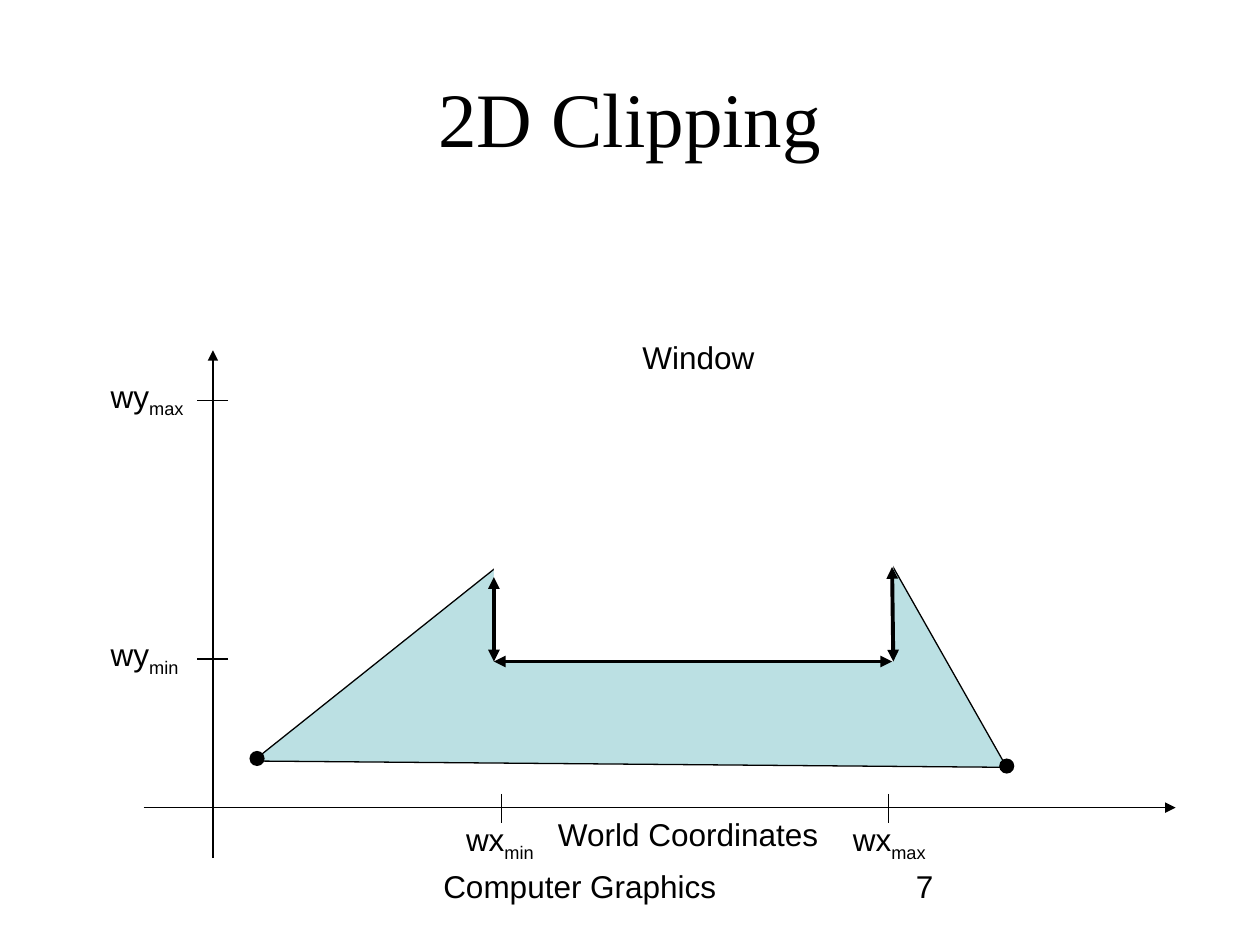
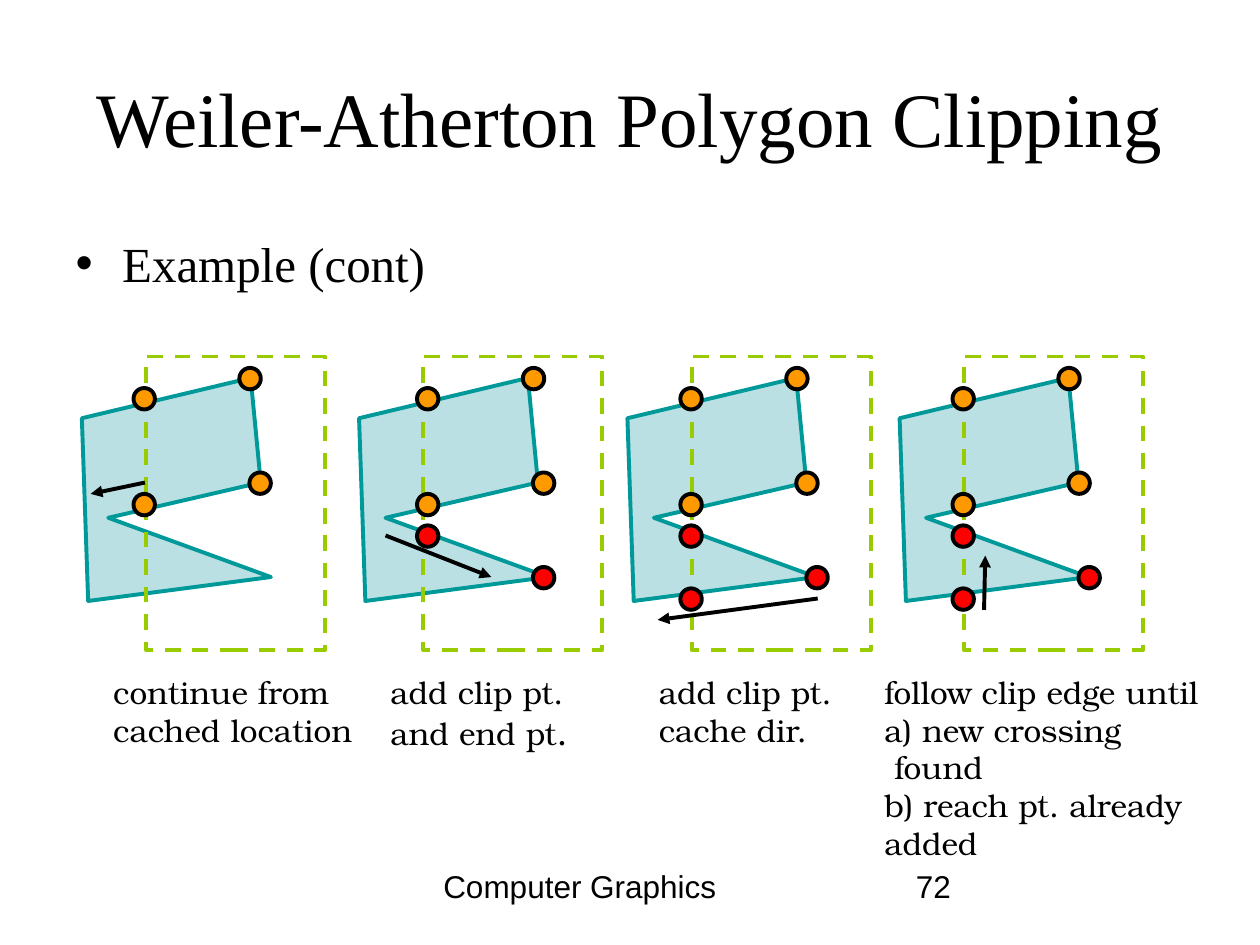
from lxml import etree
from pptx import Presentation
from pptx.dml.color import RGBColor
from pptx.enum.dml import MSO_LINE
from pptx.enum.shapes import MSO_CONNECTOR, MSO_SHAPE
from pptx.enum.text import MSO_ANCHOR, MSO_AUTO_SIZE, PP_ALIGN
from pptx.oxml.ns import qn
from pptx.util import Pt

SCALE = 9144  # EMU per px, 100 px to the inch

BLACK = RGBColor(0x00, 0x00, 0x00)
WHITE = RGBColor(0xFF, 0xFF, 0xFF)
PALE_TEAL = RGBColor(0xBB, 0xE0, 0xE3)
TEAL = RGBColor(0x00, 0x99, 0x99)
GREEN = RGBColor(0x99, 0xCC, 0x00)
ORANGE = RGBColor(0xFF, 0x99, 0x00)
RED = RGBColor(0xFF, 0x00, 0x00)

SANS = "Arial"
SERIF = "Times New Roman"
CAPTION_FONT = "TeX Gyre Bonum"
THIN, THICK = 0.75, 2.25

RECTANGLE, ELLIPSE = MSO_SHAPE.RECTANGLE, MSO_SHAPE.OVAL
STRAIGHT = MSO_CONNECTOR.STRAIGHT
DASH = MSO_LINE.DASH
CENTER = PP_ALIGN.CENTER
TOP, MIDDLE = MSO_ANCHOR.TOP, MSO_ANCHOR.MIDDLE
NO_FIT = MSO_AUTO_SIZE.NONE
TITLE_AND_BODY, TITLE_ONLY = 1, 5


def emu(*lengths):
    return [length * SCALE for length in lengths]


class SlideWriter:
    """Holds the deck's style and the slide being filled."""

    def __init__(self, deck):
        self.deck = deck
        self.page = None

    def start(self, layout, title, number):
        self.page = self.deck.slides.add_slide(self.deck.slide_layouts[layout])
        self.text("Computer Graphics", 342, 683, 316, 51)
        self.text(number, 717, 683, 233, 51)
        self.placeholder(self.page.shapes.title, title, (50, 30, 900, 125), 44, MIDDLE).alignment = CENTER

    def style_spans(self, frame, font, size):
        for para in frame.paragraphs:
            for span in para.runs:
                span.font.name = font
                span.font.size = Pt(size)
                span.font.color.rgb = BLACK

    def placeholder(self, holder, text, place, size, anchor):
        holder.left, holder.top, holder.width, holder.height = emu(*place)
        frame = holder.text_frame
        frame.text = text
        frame.auto_size = NO_FIT
        frame.vertical_anchor = anchor
        self.style_spans(frame, SERIF, size)
        return frame.paragraphs[0]

    def bullet(self, text):
        para = self.placeholder(self.page.placeholders[1], text, (50, 180, 900, 490), 28, TOP)
        para.space_before = Pt(0)
        properties = para._p.get_or_add_pPr()
        properties.set("marL", str(37 * SCALE))
        properties.set("indent", str(-37 * SCALE))
        color = etree.SubElement(properties, qn("a:buClr"))
        etree.SubElement(color, qn("a:srgbClr")).set("val", str(BLACK))
        etree.SubElement(properties, qn("a:buChar")).set("char", "•")

    def text(self, text, left, top, width, height, font=SANS):
        box = self.page.shapes.add_textbox(*emu(left, top, width, height))
        frame = box.text_frame
        frame.word_wrap = True
        frame.text = text
        self.style_spans(frame, font, 18)
        return frame

    def add_span(self, para, text, size=18):
        span = para.add_run()
        span.text = text
        first = para.runs[0].font
        span.font.name = first.name
        span.font.color.rgb = first.color.rgb
        span.font.size = Pt(size)
        return span

    def axis_label(self, name, subscript, left, top):
        frame = self.text(name, left, top, 82, 44)
        span = self.add_span(frame.paragraphs[0], subscript)
        span._r.get_or_add_rPr().set("baseline", "-25000")

    def paint(self, shape, fill, line, width, dash=None):
        shape.shadow.inherit = False
        if fill is None:
            shape.fill.background()
        else:
            shape.fill.solid()
            shape.fill.fore_color.rgb = fill
        if line is None:
            shape.line.fill.background()
        else:
            shape.line.color.rgb = line
            shape.line.width = Pt(width)
        if dash is not None:
            shape.line.dash_style = dash

    def shape(self, kind, left, top, width, height, fill=None, line=None, dash=None):
        shape = self.page.shapes.add_shape(kind, *emu(left, top, width, height))
        self.paint(shape, fill, line, THICK, dash)

    def polygon(self, points, line, width):
        builder = self.page.shapes.build_freeform(*points[0], scale=SCALE)
        builder.add_line_segments(points[1:], close=True)
        self.paint(builder.convert_to_shape(), PALE_TEAL, line, width)

    def line(self, start, end, width=THIN, arrows=()):
        connector = self.page.shapes.add_connector(STRAIGHT, *emu(*start, *end))
        connector.line.color.rgb = BLACK
        connector.line.width = Pt(width)
        outline = connector.line._get_or_add_ln()
        for arrow in arrows:
            etree.SubElement(outline, qn(f"a:{arrow}")).set("type", "triangle")
        etree.SubElement(connector._element.spPr, qn("a:effectLst"))


END = ("tailEnd",)
BOTH = ("headEnd", "tailEnd")


def clipping_slide(writer):
    writer.start(TITLE_ONLY, "2D Clipping", "7")

    # Polygon in world coordinates
    writer.polygon([(201, 604), (447, 408), (494, 480), (529, 372),
                    (588, 434), (647, 341), (799, 609)], BLACK, THIN)

    # Axes, ticks and labels
    writer.line((114, 641), (933, 641), arrows=END)
    writer.line((169, 681), (169, 278), arrows=END)
    for subscript, y, label_top in (("max", 318, 294), ("min", 523, 499)):
        writer.line((181, y), (156, y))
        writer.axis_label("wy", subscript, 78, label_top)
    for subscript, x in (("min", 398), ("max", 705)):
        writer.line((x, 630), (x, 653))
        writer.axis_label("wx", subscript, x - 38, 646)
    writer.text("Window", 500, 263, 113, 40)
    writer.text("World Coordinates", 433, 642, 231, 40)

    # End points of the base
    for left, top in ((198, 596), (793, 602)):
        writer.shape(ELLIPSE, left, top, 12, 12, fill=BLACK)

    # Window area and the edges it cuts
    writer.shape(RECTANGLE, 392, 317, 317, 208, fill=WHITE)
    for start, end in (((392, 458), (392, 525)), ((708, 450), (709, 525)),
                       ((392, 525), (708, 525))):
        writer.line(start, end, THICK, BOTH)


OUTLINE = [(0, 332), (134, 300), (142, 383), (21, 411), (150, 458), (5, 477)]
FIRST_DOTS = [(0, 308), (84, 292), (92, 375), (0, 392)]
ENTRY, EXIT = (0, 417), (0, 467)

# Polygon left, dots left, arrow start and end, added dots
STEPS = [
    (65, 106, (115, 383), (72, 392), []),
    (285, 331, (306, 425), (390, 458), [ENTRY, (92, 450)]),
    (498, 540, (649, 475), (522, 492), [ENTRY, (100, 450), EXIT]),
    (714, 756, (781, 484), (782, 441), [ENTRY, (100, 450), EXIT]),
]

# Text, left, width, height
CAPTIONS = [
    ("continue from\ncached location", 80, 214, 70),
    ("add clip pt.\nand end pt", 300, 165, 74),
    ("add clip pt.\ncache dir.", 513, 162, 70),
    ("follow clip edge until\na) new crossing\nfound\nb) reach pt. already\nadded", 692, 300, 160),
]


def weiler_atherton_slide(writer):
    writer.start(TITLE_AND_BODY, "Weiler-Atherton Polygon Clipping", "72")
    writer.bullet("Example (cont)")

    # Polygon, clip window and walking direction of each step
    for left, dots_left, start, end, added in STEPS:
        writer.polygon([(left + x, y) for x, y in OUTLINE], TEAL, THICK)
        writer.shape(RECTANGLE, left + 51, 283, 142, 233, line=GREEN, dash=DASH)
        writer.line(start, end, THICK, END)

    # Captions
    frames = [writer.text(text, left, 529, width, height, CAPTION_FONT)
              for text, left, width, height in CAPTIONS]
    writer.add_span(frames[1].paragraphs[1], ".", 20)
    found = frames[3].paragraphs[2]
    found._p.get_or_add_pPr().set("marL", str(8 * SCALE))

    # Earlier points in orange, added points in red
    for left, dots_left, start, end, added in STEPS:
        for color, dots in ((ORANGE, FIRST_DOTS), (RED, added)):
            for x, top in dots:
                writer.shape(ELLIPSE, dots_left + x, top, 17, 17, fill=color, line=BLACK)


def main():
    deck = Presentation()
    deck.slide_width, deck.slide_height = emu(1000, 750)
    writer = SlideWriter(deck)
    clipping_slide(writer)
    weiler_atherton_slide(writer)
    deck.save("out.pptx")


if __name__ == "__main__":
    main()
